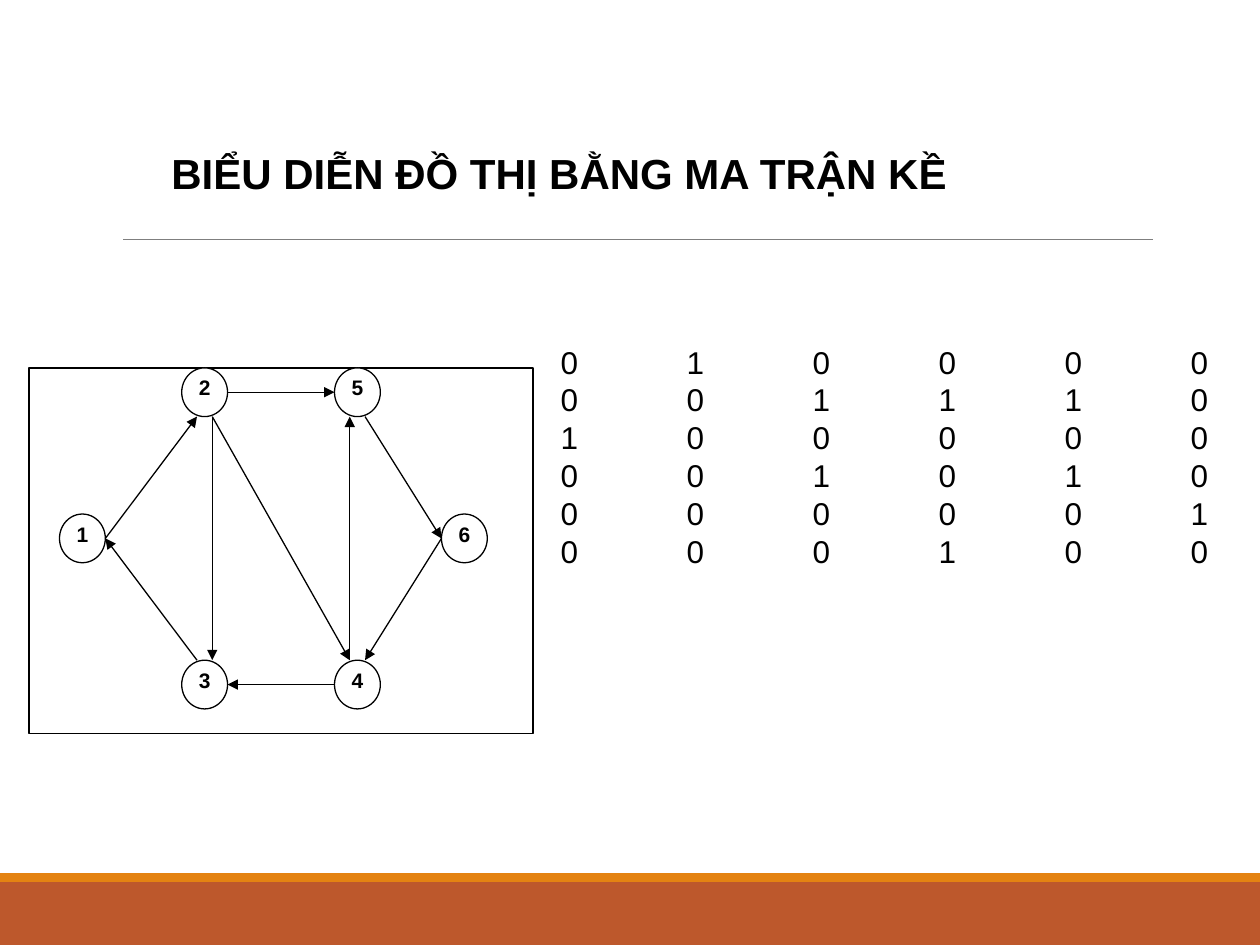
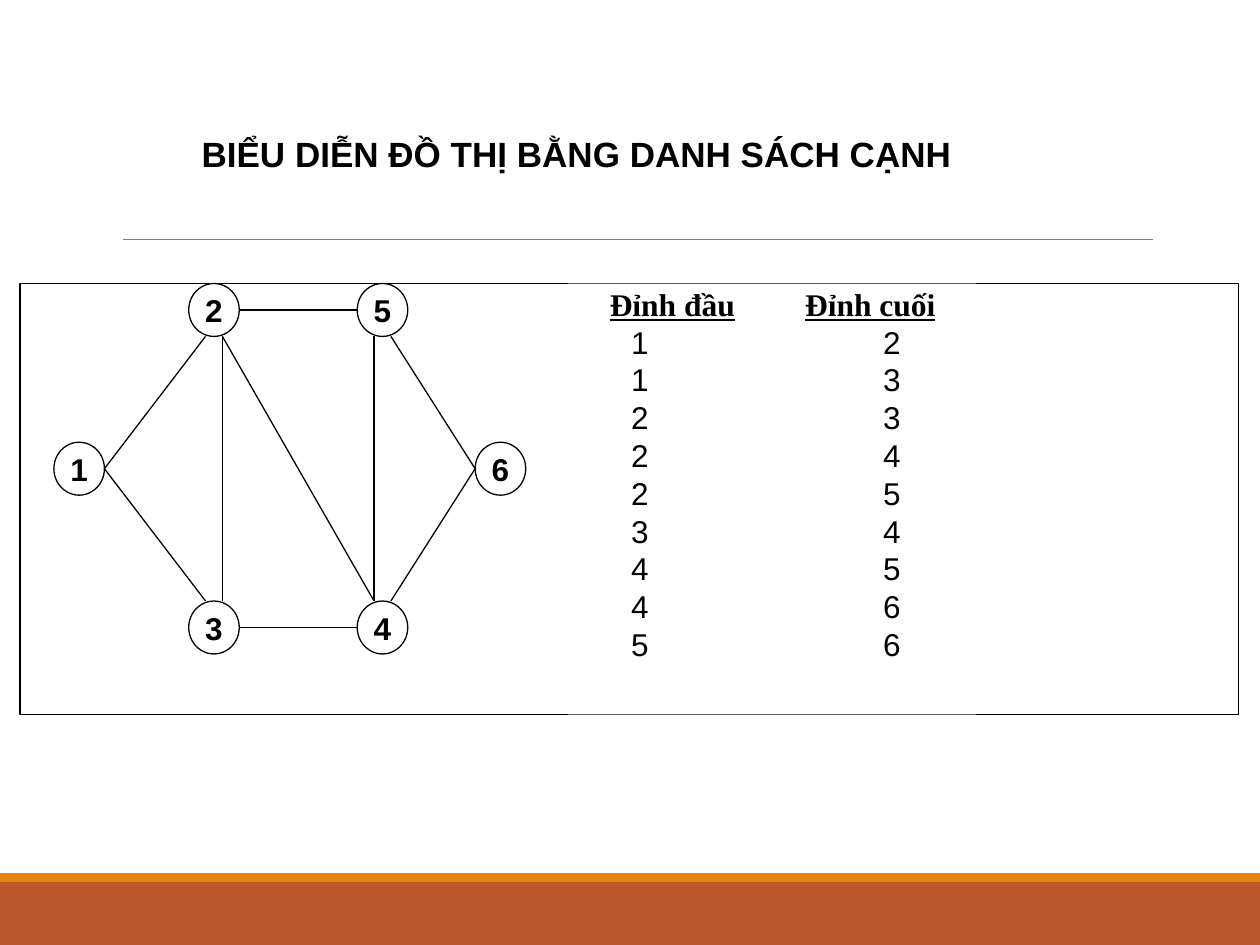
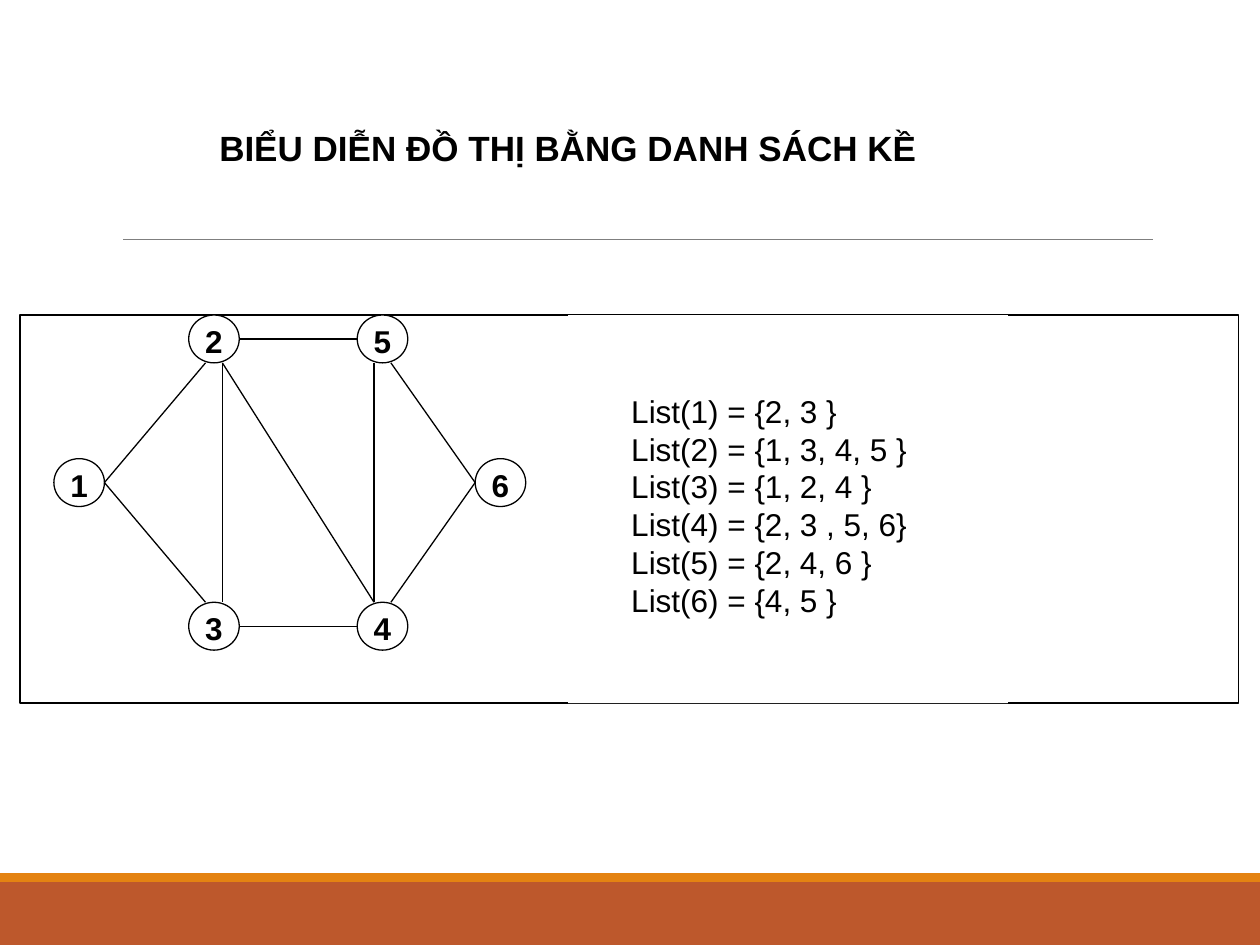
from dataclasses import dataclass

from lxml import etree
from pptx import Presentation
from pptx import util as u
from pptx.dml.color import RGBColor
from pptx.enum import shapes, text
from pptx.oxml.ns import qn


@dataclass(frozen=True)
class Theme:
    ink: str = "000000"
    paper: str = "FFFFFF"
    band: str = "BD582C"
    stripe: str = "E48312"
    rule: str = "7F7F7F"
    font: str = "Arial"
    heading_font: str = "Times New Roman"
    body_size: float = 18
    body_leading: float = 21.6
    line: float = 0.75
    rule_line: float = 0.5


T = Theme()

# Graph positions count in grid units: a node is 3 wide and 2 high.
NODES = {"1": (2, 6), "2": (10, 0), "5": (20, 0),
         "3": (10, 12), "4": (20, 12), "6": (27, 6)}
NODE_SIZE = (3, 2)
PORTS = {"left": (0, 1), "right": (3, 1), "top left": (1, 0), "top right": (2, 0),
         "bottom left": (1, 2), "bottom right": (2, 2)}
EDGES = [
    ("1", "right", "2", "bottom left"),
    ("2", "right", "5", "left"),
    ("3", "top left", "1", "right"),
    ("4", "left", "3", "right"),
    ("6", "left", "4", "top right"),
    ("5", "bottom right", "6", "left"),
    ("2", "bottom right", "3", "top right"),
    ("4", "top left", "5", "bottom left"),
    ("2", "bottom right", "4", "top left"),
]

MATRIX = ["010000", "001110", "100000", "001010", "000001", "000100"]
EDGE_HEADING = ["Đỉnh đầu", "Đỉnh cuối"]
EDGE_LIST = ["12", "13", "23", "24", "25", "34", "45", "46", "56"]
ADJACENCY = ["List(1) = {2, 3 }", "List(2) = {1, 3, 4, 5 }", "List(3) = {1, 2, 4 }",
             "List(4) = {2, 3 , 5, 6}", "List(5) = {2, 4, 6 }", "List(6) = {4, 5 }"]

SLIDES = [
    dict(title="BIỂU DIỄN ĐỒ THỊ BẰNG MA TRẬN KỀ", title_box=(1.26, 1.12, 6.74, 0.5),
         title_size=24, frame=(0.23, 2.92, 4, 2.9), pitch=(0.97, 1.16),
         node_size=12, directed=True,
         panel=(4.35, 2.67, 5.42, 3.58), inset=(0.1, 0.05),
         lines=[("\t".join(row), range(1, 6), False) for row in MATRIX]),
    dict(title="BIỂU DIỄN ĐỒ THỊ BẰNG DANH SÁCH CẠNH", title_box=(1.5, 1, 7.18, 0.44),
         title_size=20, frame=(0.16, 2.25, 9.67, 3.42), pitch=(1.07, 1.26),
         node_size=18, directed=False,
         panel=(4.51, 2.25, 3.24, 3.42), inset=(0, 0.01),
         lines=[("\t" + "\t".join(EDGE_HEADING), (0.33, 1.88), True)]
         + [("\t" + "\t".join(pair), (0.5, 2.5), False) for pair in EDGE_LIST]),
    dict(title="BIỂU DIỄN ĐỒ THỊ BẰNG DANH SÁCH KỀ", title_box=(1.64, 0.95, 6.25, 0.44),
         title_size=20, frame=(0.16, 2.5, 9.67, 3.08), pitch=(1.07, 1.14),
         node_size=18, directed=False,
         panel=(4.51, 2.5, 3.49, 3.08), inset=(0.5, 0.61),
         lines=[(entry, (), False) for entry in ADJACENCY]),
]


def rgb(color):
    return RGBColor.from_string(color)


def inches(values):
    return [u.Inches(v) for v in values]


def add_box(s, kind, box, fill=None, line=None):
    sp = s.shapes.add_shape(kind, *inches(box))
    sp.shadow.inherit = False
    if fill:
        sp.fill.solid()
        sp.fill.fore_color.rgb = rgb(fill)
    else:
        sp.fill.background()
    if line:
        sp.line.color.rgb = rgb(line)
        sp.line.width = u.Pt(T.line)
    else:
        sp.line.fill.background()
    return sp


def add_line(s, start, end, color, width, arrow=False):
    cx = s.shapes.add_connector(shapes.MSO_CONNECTOR.STRAIGHT, *inches(start + end))
    cx.line.color.rgb = rgb(color)
    cx.line.width = u.Pt(width)
    if arrow:
        etree.SubElement(cx.line._get_or_add_ln(), qn("a:tailEnd"), type="triangle")
    etree.SubElement(cx._element.spPr, qn("a:effectLst"))
    return cx


def set_frame(tf, inset):
    tf.word_wrap = True
    tf.vertical_anchor = text.MSO_ANCHOR.TOP
    tf.margin_left = tf.margin_right = u.Inches(inset[0])
    tf.margin_top = tf.margin_bottom = u.Inches(inset[1])


def add_run(p, words, size, bold=False, font=T.font, underline=False):
    r = p.add_run()
    r.text = words
    r.font.size = u.Pt(size)
    r.font.name = font
    r.font.bold = bold
    r.font.underline = underline
    r.font.color.rgb = rgb(T.ink)


def set_tabs(p, stops):
    tabs = etree.SubElement(p._p.get_or_add_pPr(), qn("a:tabLst"))
    for stop in stops:
        etree.SubElement(tabs, qn("a:tab"), pos=str(u.Inches(stop)), algn="l")


def decorate_layout(s):
    rect = shapes.MSO_SHAPE.RECTANGLE
    parts = [add_box(s, rect, (0, 7, 10, 0.5), T.band),
             add_box(s, rect, (0, 6.93, 10, 0.07), T.stripe),
             add_line(s, (0.98, 1.9), (9.15, 1.9), T.rule, T.rule_line)]
    for part in parts:
        s.slide_layout.shapes._spTree.append(part._element)


def add_title(s, words, box, size):
    sp = s.shapes.title
    sp.left, sp.top, sp.width, sp.height = inches(box)
    tf = sp.text_frame
    set_frame(tf, (0.1, 0.05))
    tf.auto_size = text.MSO_AUTO_SIZE.SHAPE_TO_FIT_TEXT
    p = tf.paragraphs[0]
    p.alignment = text.PP_ALIGN.LEFT
    add_run(p, words, size, bold=True)


def add_graph(s, frame, pitch, size, directed):
    ux, uy = pitch[0] / 8, pitch[1] / 6

    def place(node, offset=(0, 0)):
        col, row = NODES[node]
        return frame[0] + (col + offset[0]) * ux, frame[1] + (row + offset[1]) * uy

    add_box(s, shapes.MSO_SHAPE.RECTANGLE, frame, line=T.ink)
    for node in NODES:
        box = place(node) + (NODE_SIZE[0] * ux, NODE_SIZE[1] * uy)
        sp = add_box(s, shapes.MSO_SHAPE.OVAL, box, T.paper, T.ink)
        set_frame(sp.text_frame, (0, 0))
        p = sp.text_frame.paragraphs[0]
        p.alignment = text.PP_ALIGN.CENTER
        add_run(p, node, size, bold=True)
    for tail, tail_port, head, head_port in EDGES:
        add_line(s, place(tail, PORTS[tail_port]), place(head, PORTS[head_port]),
                 T.ink, T.line, directed)


def add_panel(s, box, inset, lines):
    tf = add_box(s, shapes.MSO_SHAPE.RECTANGLE, box, T.paper).text_frame
    set_frame(tf, inset)
    for i, (words, stops, heading) in enumerate(lines):
        p = tf.add_paragraph() if i else tf.paragraphs[0]
        p.alignment = text.PP_ALIGN.LEFT
        p.line_spacing = u.Pt(T.body_leading)
        if stops:
            set_tabs(p, stops)
        if not heading:
            add_run(p, words, T.body_size)
            continue
        for label in words.split("\t")[1:]:
            add_run(p, "\t", T.body_size)
            add_run(p, label, T.body_size, True, T.heading_font, True)


def main():
    prs = Presentation()
    prs.slide_width, prs.slide_height = inches((10, 7.5))
    layout = prs.slide_layouts[5]
    for i, d in enumerate(SLIDES):
        s = prs.slides.add_slide(layout)
        if i == 0:
            decorate_layout(s)
        add_title(s, d["title"], d["title_box"], d["title_size"])
        add_graph(s, d["frame"], d["pitch"], d["node_size"], d["directed"])
        add_panel(s, d["panel"], d["inset"], d["lines"])
    prs.save("out.pptx")


if __name__ == "__main__":
    main()
